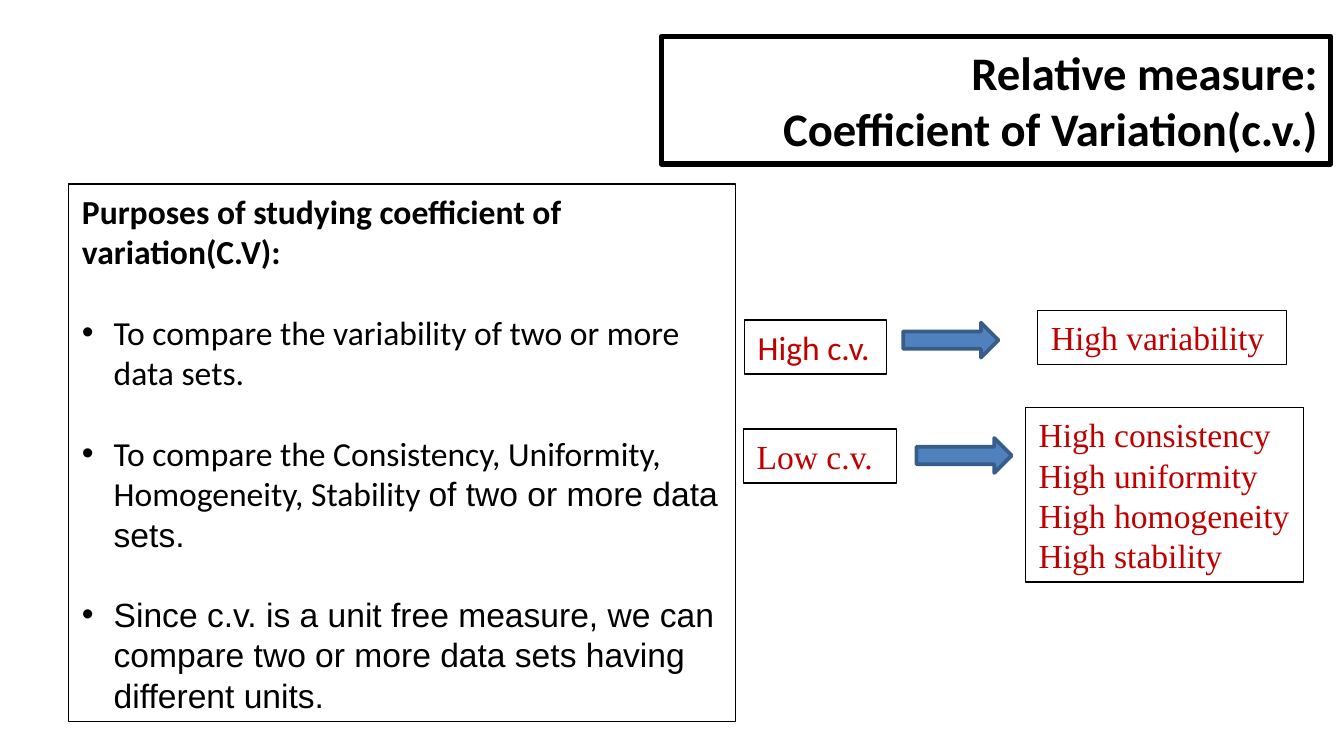
import pptx
import pptx.dml.color
import pptx.enum.shapes
import pptx.enum.text
import pptx.oxml
import pptx.oxml.ns
import pptx.util

Cm = pptx.util.Cm
Pt = pptx.util.Pt
Align = pptx.enum.text.PP_ALIGN
Anchor = pptx.enum.text.MSO_ANCHOR
Fit = pptx.enum.text.MSO_AUTO_SIZE
HUES = {"ink": "000000", "red": "C00000", "blue": "4F81BD", "edge": "385D8A"}
FRAME = {
    "margin_left": Cm(0.25), "margin_right": Cm(0.25),
    "margin_top": Cm(0.13), "margin_bottom": Cm(0.13),
}
SIZE = 18
LEAD = 1.2


def hue(name):
    return pptx.dml.color.RGBColor.from_string(HUES[name])


def apply(item, form):
    for key, value in form.items():
        setattr(item, key, value)


def outline(shape, name, width):
    shape.line.color.rgb = hue(name)
    shape.line.width = Pt(width)


def add_box(slide, box, width, **form):
    shape = slide.shapes.add_textbox(*map(Cm, box))
    outline(shape, "ink", width)
    apply(shape.text_frame, FRAME | form)
    return shape.text_frame


def add_para(frame, index, runs, color, size=SIZE, **form):
    para = frame.add_paragraph() if index else frame.paragraphs[0]
    apply(para, {"line_spacing": Pt(size * LEAD)} | form)
    for text, face, bold in runs:
        run = para.add_run()
        run.text = text
        apply(run.font, {"name": face, "size": Pt(size), "bold": bold})
        run.font.color.rgb = hue(color)
    return para


def add_bullet(para):
    props = para._p.get_or_add_pPr()
    props.set("marL", str(Cm(0.6)))
    props.set("indent", str(-Cm(0.6)))
    space = pptx.oxml.ns.nsdecls("a")
    for tag in (
        f'<a:buClr {space}><a:srgbClr val="{HUES["ink"]}"/></a:buClr>',
        f'<a:buFont {space} typeface="Arial"/>',
        f'<a:buChar {space} char="•"/>',
    ):
        props.append(pptx.oxml.parse_xml(tag))


def add_title(slide, box):
    frame = add_box(slide, box, 3, word_wrap=True,
                    vertical_anchor=Anchor.MIDDLE)
    text = "Relative measure:\vCoefficient of Variation(c.v.)"
    para = add_para(frame, 0, [], "ink", 25, alignment=Align.RIGHT)
    para.text = text
    apply(para.font, {"name": "Calibri", "size": Pt(25), "bold": True})
    for run in para.runs:
        apply(run.font, {"name": "Calibri", "size": Pt(25), "bold": True})
        run.font.color.rgb = hue("ink")


def add_list(slide, box):
    frame = add_box(slide, box, 0.75, word_wrap=True)
    head = "Purposes of studying coefficient of variation(C.V):"
    add_para(frame, 0, [(head, "Calibri", True)], "ink")
    points = [
        [("To compare the variability of two or more data sets.",
          "Calibri", False)],
        [("To compare the Consistency, Uniformity, Homogeneity, Stability ",
          "Calibri", False),
         ("of two or more data sets.", "Arial", False)],
        [("Since c.v. is a unit free measure, we can compare two or more "
          "data sets having different units.", "Arial", False)],
    ]
    for index, runs in enumerate(points, 1):
        para = add_para(frame, index, runs, "ink",
                        space_before=Pt(SIZE * LEAD))
        add_bullet(para)


def add_label(slide, box, lines, face):
    frame = add_box(slide, box, 0.75, word_wrap=False,
                    auto_size=Fit.SHAPE_TO_FIT_TEXT)
    for index, text in enumerate(lines):
        add_para(frame, index, [(text, face, False)], "red")


def add_arrow(slide, box):
    kind = pptx.enum.shapes.MSO_SHAPE.RIGHT_ARROW
    arrow = slide.shapes.add_shape(kind, *map(Cm, box))
    arrow.shadow.inherit = False
    arrow.fill.solid()
    arrow.fill.fore_color.rgb = hue("blue")
    outline(arrow, "edge", 2)


def add_rule(slide, box, cause, arrow, effect):
    left, top, width, height = box
    text, face, down, wide = cause
    add_label(slide, (left, top + down, wide, 1.02), [text], face)
    across, drop = arrow
    add_arrow(slide, (left + across, top + drop, 1.8, 0.66))
    lines, span = effect
    add_label(slide, (left + width - span, top, span, height),
              lines, "Times New Roman")


def main():
    deck = pptx.Presentation()
    apply(deck, {"slide_width": Cm(25.4), "slide_height": Cm(14.29)})
    slide = deck.slides.add_slide(deck.slide_layouts[6])
    add_title(slide, (12.5, 0.69, 12.65, 2.41))
    add_list(slide, (1.3, 3.48, 12.6, 10.16))
    add_rule(slide, (14.07, 5.87, 10.24, 1.02),
             ("High c.v.", "Calibri", 0.18, 2.69), (3, 0.23),
             (["High variability"], 4.7))
    traits = ["consistency", "uniformity", "homogeneity", "stability"]
    add_rule(slide, (14.05, 7.7, 10.59, 3.3),
             ("Low c.v.", "Times New Roman", 0.41, 2.9), (3.27, 0.58),
             ([f"High {trait}" for trait in traits], 5.26))
    deck.save("out.pptx")


if __name__ == "__main__":
    main()
